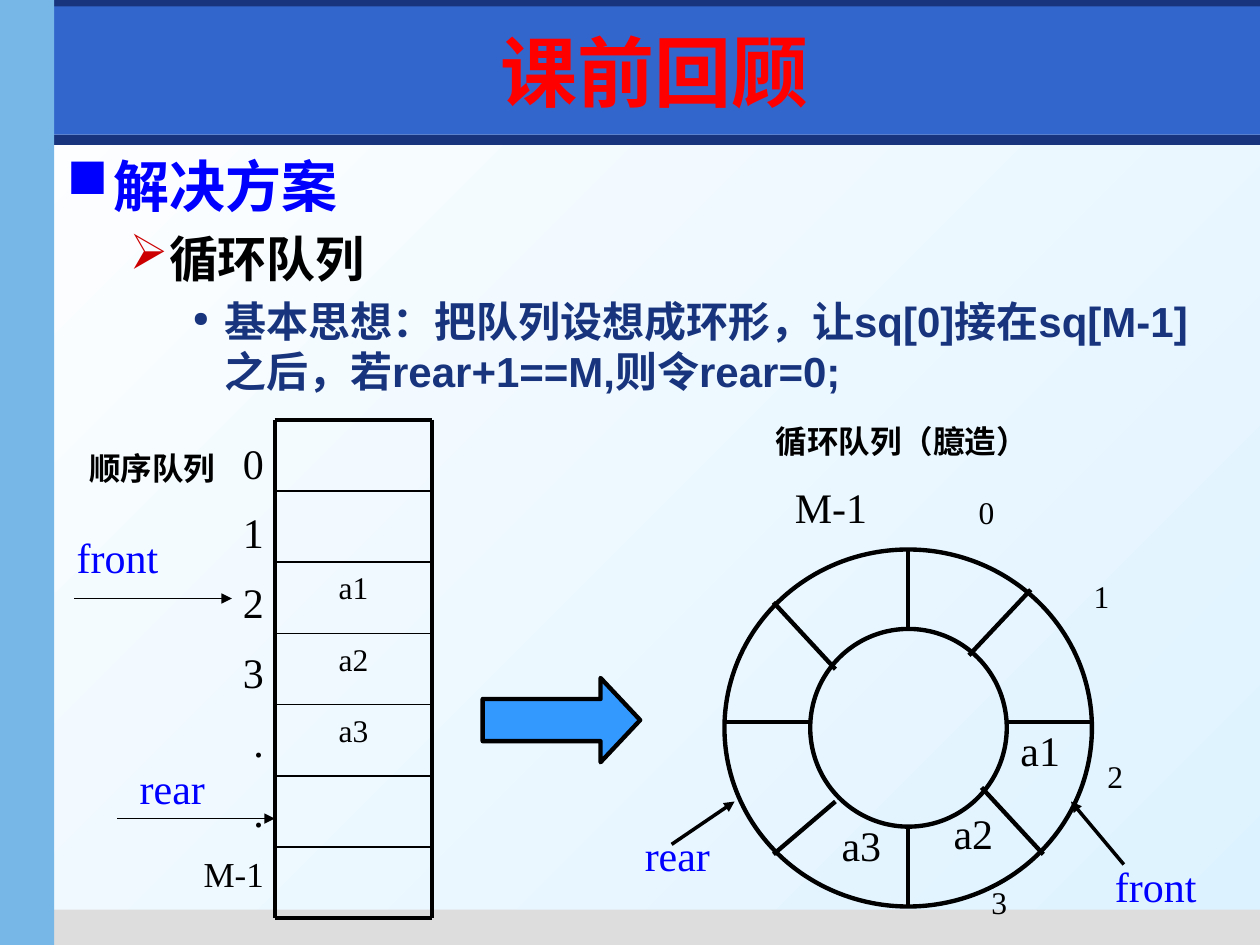
from lxml.etree import SubElement
from pptx import Presentation
from pptx.dml.color import RGBColor
from pptx.enum.shapes import MSO_CONNECTOR, MSO_SHAPE
from pptx.enum.text import MSO_ANCHOR, PP_ALIGN
from pptx.oxml.ns import qn
from pptx.util import Pt

BLACK, BLUE, NAVY, RED = "000000", "0000FF", "17347D", "FF0000"
SERIF = "Times New Roman"


def rgb(value):
    """Turn a hex string into a colour."""
    return RGBColor.from_string(value)


def add_paragraph(frame, text, size=24, font=SERIF, color=BLACK, bold=False,
                  align=PP_ALIGN.LEFT, before=0):
    """Write a formatted paragraph, using the empty first one if there is one."""
    first = frame.paragraphs[0]
    paragraph = frame.add_paragraph() if first.runs else first
    paragraph.alignment = align
    paragraph.space_before = Pt(before)
    run = paragraph.add_run()
    run.text = text
    run.font.size = Pt(size)
    run.font.name = font
    run.font.bold = bold
    run.font.color.rgb = rgb(color)
    return paragraph


def add_frame(slide, left, top, width, height):
    """Add an empty wrapping text box and return its text frame."""
    box = slide.shapes.add_textbox(Pt(left), Pt(top), Pt(width), Pt(height))
    box.text_frame.word_wrap = True
    return box.text_frame


def add_label(slide, text, left, top, width, height=36, **style):
    """Add a text box holding one paragraph."""
    frame = add_frame(slide, left, top, width, height)
    add_paragraph(frame, text, **style)
    return frame


def add_shape(slide, kind, left, top, width, height, fill=None, line=None):
    """Add a preset shape with an optional fill and an optional black outline."""
    shape = slide.shapes.add_shape(kind, Pt(left), Pt(top), Pt(width), Pt(height))
    shape.shadow.inherit = False
    if fill:
        shape.fill.solid()
        shape.fill.fore_color.rgb = rgb(fill)
    else:
        shape.fill.background()
    if line:
        shape.line.color.rgb = rgb(BLACK)
        shape.line.width = Pt(line)
    else:
        shape.line.fill.background()
    return shape


def add_line(slide, x1, y1, x2, y2, weight, arrow=False):
    """Add a straight black line, with an arrowhead at its end if asked."""
    line = slide.shapes.add_connector(
        MSO_CONNECTOR.STRAIGHT, Pt(x1), Pt(y1), Pt(x2), Pt(y2))
    line.line.color.rgb = rgb(BLACK)
    line.line.width = Pt(weight)
    if arrow:
        SubElement(line.line._get_or_add_ln(), qn("a:tailEnd"), type="triangle")
    SubElement(line._element.spPr, qn("a:effectLst"))


def add_bullet(paragraph, char, color, margin, hang, percent=100):
    """Give a paragraph a coloured bullet and a hanging indent."""
    props = paragraph._p.get_or_add_pPr()
    props.set("marL", str(Pt(margin)))
    props.set("indent", str(-Pt(hang)))
    bullet_color = SubElement(props, qn("a:buClr"))
    SubElement(bullet_color, qn("a:srgbClr"), val=color)
    SubElement(props, qn("a:buSzPct"), val=str(percent * 1000))
    SubElement(props, qn("a:buChar"), char=char)


def draw_backdrop(slide, width, height):
    """Paint the gradient, the title bands, the footer and the side strip."""
    fill = slide.background.fill
    fill.gradient()
    fill.gradient_angle = 315
    for stop, color in zip(fill.gradient_stops, ("FFFFFF", "DDF2FF")):
        stop.color.rgb = rgb(color)
    side = 31
    for left, top, right, bottom, color in (
            (side, 77, width, 82.8, NAVY),
            (side, 519.8, width, height, "DDDDDD"),
            (side, 0, width, 15, NAVY),
            (side, 3.6, width, 77, "3366CC"),
            (0, 0, side, height, "77B7E7")):
        add_shape(slide, MSO_SHAPE.RECTANGLE, left, top, right - left, bottom - top, color)


def draw_title(slide, left, top, width, height):
    """Write the centred slide title."""
    frame = add_label(slide, "课前回顾", left, top, width, height, size=44,
                      font="DejaVu Sans", color=RED, bold=True, align=PP_ALIGN.CENTER)
    frame.vertical_anchor = MSO_ANCHOR.MIDDLE


def draw_outline(slide, left, top, width, height):
    """Write the three bullet levels of the solution."""
    frame = add_frame(slide, left, top, width, height)
    idea = "基本思想：把队列设想成环形，让sq[0]接在sq[M-1]之后，若rear+1==M,则令rear=0;"
    levels = (
        ("解决方案", 32, BLUE, "■", BLUE, 27, 27, 100),
        ("循环队列", 28, BLACK, "➢", "CC0000", 58.5, 22.5, 100),
        (idea, 24, NAVY, "●", NAVY, 90, 18, 50))
    for level, (text, size, color, char, char_color, margin, hang, percent) in enumerate(levels):
        paragraph = add_paragraph(frame, text, size=size, font="Arial", color=color,
                                  bold=True, before=size * 0.2)
        paragraph.level = level
        add_bullet(paragraph, char, char_color, margin, hang, percent)


def draw_linear_queue(slide, left, top, width, height):
    """Draw the sequential queue with its cells, indices and pointers."""
    rows = 7
    row_height = height / rows
    for row, item in enumerate(("a1", "a2", "a3"), start=2):
        add_label(slide, item, left, top + row * row_height, width, row_height,
                  size=18, align=PP_ALIGN.CENTER)
    for row in range(rows + 1):
        y = top + row * row_height
        add_line(slide, left, y, left + width, y, 2.25 if row in (0, rows) else 1)
    for x in (left, left + width):
        add_line(slide, x, top, x, top + height, 2.25)
    for name, x, y, label_x, label_y in (
            ("front", -114.5, 102.2, -120.2, 60.5),
            ("rear", -90, 228, -84.2, 192.2)):
        add_line(slide, left + x, top + y, left + x + 90, top + y, 0.75, arrow=True)
        add_label(slide, name, left + label_x, top + label_y, 66, color=BLUE)
    indices = add_frame(slide, left - 48.2, top + 6.5, 54, 273.6)
    indices.margin_left, indices.margin_right = Pt(0), Pt(12)
    for index in ("0", "1", "2", "3", ".", ".", "M-1"):
        size = 20 if index == "M-1" else 24
        add_paragraph(indices, index, size=size, align=PP_ALIGN.RIGHT, before=size * 0.46)
    add_label(slide, "顺序队列", left - 113, top + 13, 92, 29, size=18, bold=True)


def draw_circular_queue(slide, left, top, width, height):
    """Draw the ring queue with its spokes, items, indices and pointers."""
    for label, x, y in (("a3", 59.8, 150.5), ("a2", 123.8, 144), ("a1", 162, 96.5)):
        add_label(slide, label, left + x, top + y, 40)
    add_shape(slide, MSO_SHAPE.OVAL, left + 49, top + 45.4, 112.3, 113, line=2.5)
    add_shape(slide, MSO_SHAPE.OVAL, left, top, width, height, line=2.5)
    middle = width / 2
    for x1, y1, x2, y2 in (
            (161.3, 98.6, width, 98.6), (0, 98.6, 49, 98.6),
            (middle, 0, middle, 45.4), (middle, 159, middle, height),
            (28, 30.2, 63.4, 68.4), (146.9, 136, 182.2, 174.2),
            (175, 23, 139.7, 60.5), (63.4, 144, 28, 174.2)):
        add_line(slide, left + x1, top + y1, left + x2, top + y2, 2.5)
    for index, x, y in (("0", 138.2, -36), ("1", 203.8, 12.2),
                        ("2", 211.7, 115.2), ("3", 145.4, 187.2)):
        add_label(slide, index, left + x, top + y, 28.8, size=18)
    add_label(slide, "M-1", left + 33.1, top - 42.5, 60)
    for name, x1, y1, x2, y2, label_x, label_y in (
            ("rear", -30.2, 168.5, 5.8, 144, -52.6, 156.2),
            ("front", 228.2, 180, 198, 144, 216, 174.2)):
        add_line(slide, left + x1, top + y1, left + x2, top + y2, 2, arrow=True)
        add_label(slide, name, left + label_x, top + label_y, 66, color=BLUE)
    add_label(slide, "循环队列（臆造）", left + 22.3, top - 76.3, 164, 29, size=18, bold=True)


def main():
    """Build the slide and save it."""
    deck = Presentation()
    deck.slide_width, deck.slide_height = Pt(720), Pt(540)
    slide = deck.slides.add_slide(deck.slide_layouts[6])
    draw_backdrop(slide, 720, 540)
    draw_title(slide, 42.5, 9.4, 663, 62.6)
    draw_outline(slide, 31, 82.8, 674.6, 424.8)
    arrow = add_shape(slide, MSO_SHAPE.RIGHT_ARROW, 275.8, 387.4, 90, 48.2, "3399FF", 2.5)
    arrow.adjustments[1] = 0.47
    draw_circular_queue(slide, 414, 314, 210, 204)
    draw_linear_queue(slide, 157, 239.8, 90, 285)
    deck.save("out.pptx")


if __name__ == "__main__":
    main()
